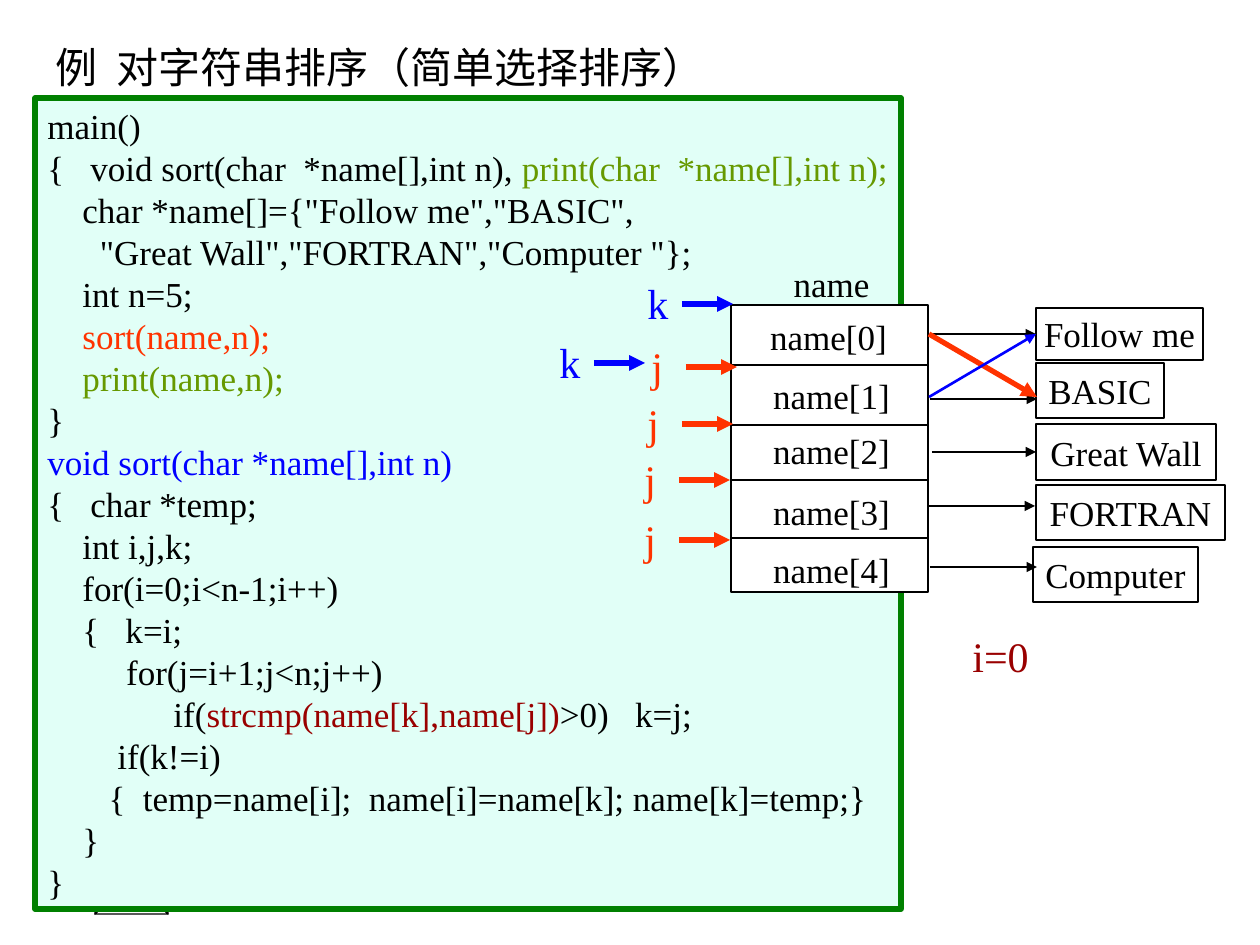
from dataclasses import dataclass

from pptx import Presentation
from pptx.dml.color import RGBColor
from pptx.enum.shapes import MSO_CONNECTOR, MSO_SHAPE
from pptx.enum.text import MSO_ANCHOR as ANCHOR, MSO_AUTO_SIZE as FIT, PP_ALIGN as ALIGN
from pptx.oxml.ns import qn
from pptx.util import Pt
from lxml.etree import SubElement

PX = 914400 / 126


@dataclass(frozen=True)
class Theme:
    font: str = "Times New Roman"
    body: int = 20
    large: int = 24
    thin: float = 0.75
    medium: float = 1.5
    thick: float = 3
    black: str = "000000"
    white: str = "FFFFFF"
    mint: str = "E1FFF7"
    frame: str = "008000"
    olive: str = "669900"
    red: str = "FF3300"
    blue: str = "0000FF"
    maroon: str = "990000"


T = Theme()

TITLE = "例  对字符串排序（简单选择排序）"
# Each line is a list of runs; a plain string is black.
CODE = [
    ["main()"],
    ["{   void sort(char  *name[],int n), ", ("print(char  *name[],int n);", T.olive)],
    ['    char *name[]={"Follow me","BASIC",'],
    ['      "Great Wall","FORTRAN","Computer "};'],
    ["    int n=5;"],
    [("    sort(name,n);", T.red)],
    ["    ", ("print(name,n);", T.olive)],
    ["}"],
    [("void sort(char *name[],int n)", T.blue)],
    ["{   char *temp;"],
    ["    int i,j,k;"],
    ["    for(i=0;i<n-1;i++)"],
    ["    {   k=i;"],
    ["         for(j=i+1;j<n;j++)"],
    ["\tif(", ("strcmp(name[k],name[j])", T.maroon), ">0)   k=j;"],
    ["        if(k!=i)"],
    ["       {  temp=name[i];  name[i]=name[k]; name[k]=temp;}"],
    ["    }"],
    ["}"],
]
TAB = 126
ARRAY = (731, 305, 197, 287)
DIVIDERS = [365, 425, 480, 538]
# label left, label top, arrow start x, arrow y, string, string box
ROWS = [
    (758, 309, 931, 334, "Follow me", (1036, 308, 167, 52)),
    (761, 368, 930, 399, "BASIC", (1036, 363, 128, 55)),
    (761, 423, 932, 452, "Great Wall", (1036, 424, 180, 56)),
    (761, 484, 928, 506, "FORTRAN", (1036, 485, 189, 55)),
    (761, 542, 930, 567, "Computer", (1033, 547, 165, 55)),
]
ARROW_LENGTH = 107
# name, colour, label left, label top
POINTERS = [
    ("k", T.blue, 635, 271),
    ("j", T.red, 639, 334),
    ("k", T.blue, 547, 330),
    ("j", T.red, 635, 391),
    ("j", T.red, 632, 447),
    ("j", T.red, 632, 507),
]
BUTTON = (95, 819, 168, 914)  # left, top, right, bottom
BEVEL = 5


def emu(*lengths):
    return [round(length * PX) for length in lengths]


def rgb(colour):
    return RGBColor.from_string(colour)


def outline(shape, colour, width):
    shape.line.color.rgb = rgb(colour)
    shape.line.width = Pt(width)


def write(shape, lines, size=T.body, centred=False):
    frame = shape.text_frame
    frame.word_wrap = True
    frame.auto_size = FIT.NONE
    frame.vertical_anchor = ANCHOR.MIDDLE if centred else ANCHOR.TOP
    frame.margin_right = 0
    if centred:
        frame.margin_left = 0
    for number, line in enumerate(lines):
        paragraph = frame.add_paragraph() if number else frame.paragraphs[0]
        paragraph.alignment = ALIGN.CENTER if centred else ALIGN.LEFT
        if line[0] == line[0] and "\t" in line[0]:
            tabs = SubElement(paragraph._p.get_or_add_pPr(), qn("a:tabLst"))
            SubElement(tabs, qn("a:tab"), pos=str(emu(TAB)[0]), algn="l")
        for part in line:
            words, colour = (part, T.black) if isinstance(part, str) else part
            run = paragraph.add_run()
            run.text = words
            run.font.name = T.font
            run.font.size = Pt(size)
            run.font.color.rgb = rgb(colour)


def add_label(shapes, place, words, colour=T.black, size=T.body, centred=False):
    write(shapes.add_textbox(*emu(*place)), [[(words, colour)]], size, centred)


def add_box(shapes, place, fill=None, line=T.black, width=T.thin):
    box = shapes.add_shape(MSO_SHAPE.RECTANGLE, *emu(*place))
    box.shadow.inherit = False
    if fill:
        box.fill.solid()
        box.fill.fore_color.rgb = rgb(fill)
    else:
        box.fill.background()
    outline(box, line, width)
    return box


def add_line(shapes, ends, colour=T.black, width=T.thin, arrow=True, target=None):
    """Draw a line, joined to the target's left side if it ends at its middle."""
    line = shapes.add_connector(MSO_CONNECTOR.STRAIGHT, *emu(*ends))
    outline(line, colour, width)
    if arrow:
        SubElement(line.line._get_or_add_ln(), qn("a:tailEnd"), type="triangle")
    SubElement(line._element.spPr, qn("a:effectLst"))
    if target is not None:
        middle = target.top + target.height / 2
        if abs(line.end_y - middle) <= 2 * PX:
            line.end_connect(target, 1)


def add_button(shapes):
    """Bevelled button, drawn as the four faces round its centre."""
    left, top, right, bottom = BUTTON
    outer = [(left, top), (right, top), (right, bottom), (left, bottom)]
    inner = [(left + BEVEL, top + BEVEL), (right - BEVEL, top + BEVEL),
             (right - BEVEL, bottom - BEVEL), (left + BEVEL, bottom - BEVEL)]
    builder = shapes.build_freeform(*outer[0], scale=PX)
    for side in range(4):
        following = (side + 1) % 4
        if side:
            builder.move_to(*outer[side])
        builder.add_line_segments([outer[following], inner[following], inner[side]])
    button = builder.convert_to_shape()
    button.shadow.inherit = False
    button.fill.solid()
    button.fill.fore_color.rgb = rgb(T.white)
    outline(button, T.black, T.thin)


def main():
    deck = Presentation()
    deck.slide_width, deck.slide_height = emu(1260, 945)
    shapes = deck.slides.add_slide(deck.slide_layouts[6]).shapes

    add_button(shapes)
    add_label(shapes, (43, 35, 674, 63), TITLE, size=T.large)
    write(add_box(shapes, (35, 98, 866, 811), T.mint, T.frame, T.thick), CODE)

    add_box(shapes, ARRAY, T.white)
    left, _, width, _ = ARRAY
    for y in DIVIDERS:
        add_line(shapes, (left, y, left + width, y), arrow=False)
    add_label(shapes, (781, 256, 101, 55), "name", centred=True)

    strings = []
    for index, (x, y, start, arrow_y, words, place) in enumerate(ROWS):
        add_label(shapes, (x, y, 141, 55), f"name[{index}]", centred=True)
        box = add_box(shapes, place)
        write(box, [[words]], centred=True)
        add_line(shapes, (start, arrow_y, start + ARROW_LENGTH, arrow_y), target=box)
        strings.append(box)

    for name, colour, x, y in POINTERS:
        add_line(shapes, (x + 47, y + 33, x + 98, y + 33), colour, T.thick)
        add_label(shapes, (x, y, 45 if name == "k" else 37, 63), name, colour, T.large)

    add_label(shapes, (960, 624, 81, 63), "i=0", T.maroon, T.large)
    add_line(shapes, (929, 334, 1037, 397), T.red, T.thick, target=strings[1])
    add_line(shapes, (929, 397, 1036, 333), T.blue, T.medium, target=strings[0])
    deck.save("out.pptx")


if __name__ == "__main__":
    main()
